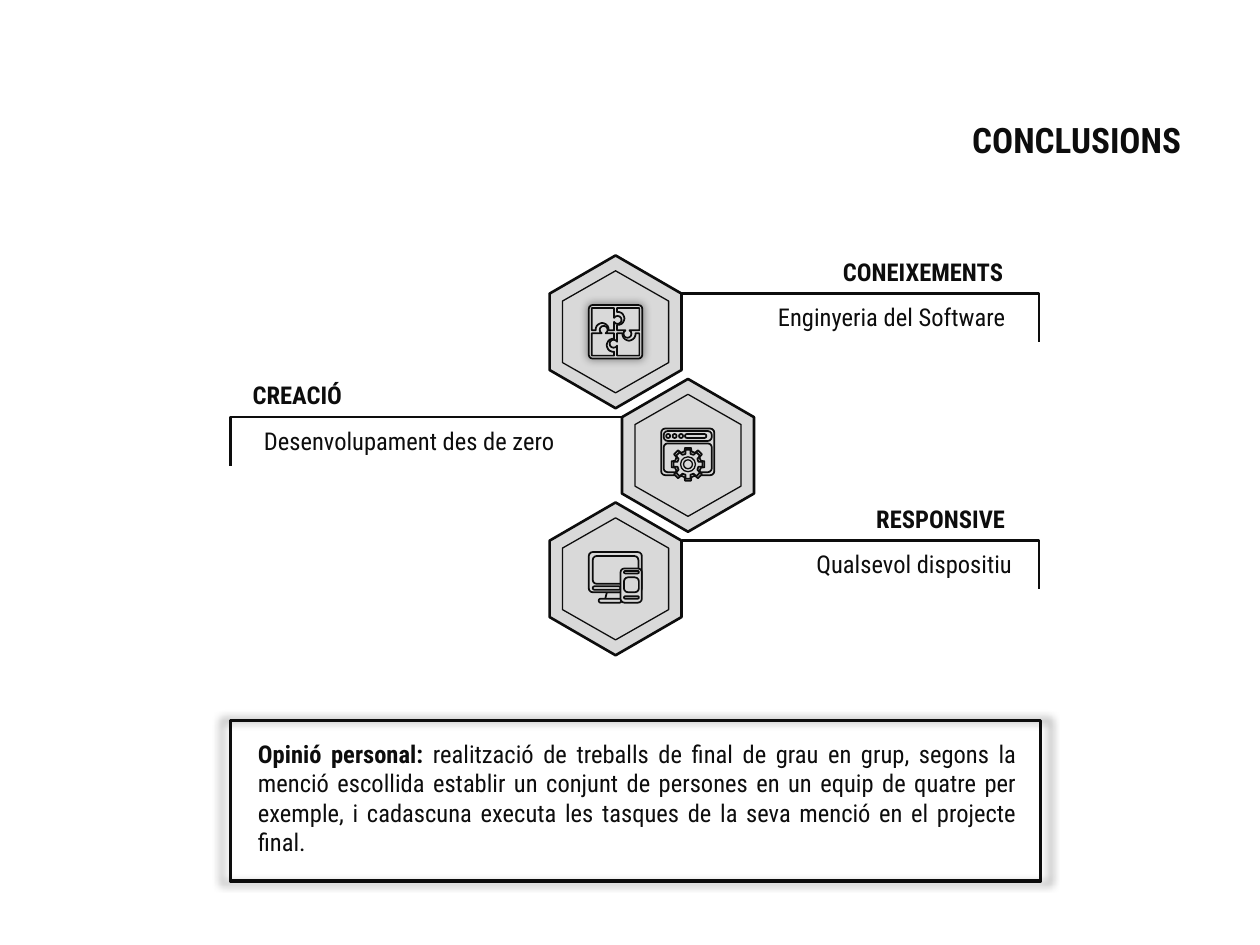
from math import cos, radians, sin

from lxml.etree import SubElement
from pptx import Presentation
from pptx.dml.color import RGBColor
from pptx.enum.shapes import MSO_CONNECTOR, MSO_SHAPE
from pptx.enum.text import MSO_ANCHOR, MSO_AUTO_SIZE, PP_ALIGN
from pptx.oxml.ns import qn
from pptx.util import Cm, Pt


class Theme:
    font = "Roboto Condensed"
    ink = RGBColor(0x0D, 0x0D, 0x0D)
    gray = RGBColor(0xD9, 0xD9, 0xD9)
    title = Pt(20)
    text = Pt(14)
    thin = Pt(0.75)
    icon = Pt(1)
    medium = Pt(1.5)
    thick = Pt(2)


def add_outline(kind, x, y, size, width):
    if kind == "polygon":
        points = [(r * cos(radians(a)), r * sin(radians(a))) for r, a in size]
        points = [(100 * px, 100 * py) for px, py in points]
        fb = s.shapes.build_freeform(*points[0], scale=Cm(0.01))
        fb.add_line_segments(points[1:], close=True)
        sp = fb.convert_to_shape(Cm(x), Cm(y))
    else:
        sp = s.shapes.add_shape(kind, Cm(x), Cm(y), *[Cm(v) for v in size])
        if kind == MSO_SHAPE.ROUNDED_RECTANGLE:
            sp.adjustments[0] = min(0.5, 0.08 / min(size))
    sp.shadow.inherit = False
    sp.fill.solid()
    sp.fill.fore_color.rgb = Theme.gray
    sp.line.color.rgb = Theme.ink
    sp.line.width = width
    return sp


def set_text(sp, runs, size, align=PP_ALIGN.CENTER):
    tf = sp.text_frame
    tf.word_wrap = True
    tf.auto_size = MSO_AUTO_SIZE.NONE
    tf.vertical_anchor = MSO_ANCHOR.BOTTOM
    tf.margin_left = tf.margin_right = tf.margin_top = tf.margin_bottom = Cm(0.25)
    p = tf.paragraphs[0]
    p.alignment = align
    for text, bold in runs:
        r = p.add_run()
        r.text = text
        r.font.bold = bold
    for font in [p.font, *[r.font for r in p.runs]]:
        font.name = Theme.font
        font.size = size
        font.color.rgb = Theme.ink


prs = Presentation()
prs.slide_width, prs.slide_height = Cm(25.4), Cm(19.05)
s = prs.slides.add_slide(prs.slide_layouts[5])

title = s.shapes.title
title.left, title.top, title.width, title.height = Cm(18.71), Cm(2.32), Cm(5.99), Cm(1.17)
set_text(title, [("CONCLUSIONS", True)], Theme.title)

first_y, row_gap = 6.69, 2.49
left_x, right_x = 12.41, 13.87
hexagon_radius, inner_ratio = 1.54, 0.8
hexagon_angles = range(30, 390, 60)
bracket_drop = 0.98
steps = [
    ("CONEIXEMENTS", 4.52, "Enginyeria del Software", 5.79, left_x, 1),
    ("CREACIÓ", 2.75, "Desenvolupament des de zero", 7.26, right_x, -1),
    ("RESPONSIVE", 3.81, "Qualsevol dispositiu", 4.88, left_x, 1),
]
for row, (heading, heading_width, detail, detail_width, x, side) in enumerate(steps):
    y = first_y + row * row_gap
    for ratio, width in ((1, Theme.medium), (inner_ratio, Theme.thin)):
        add_outline("polygon", x, y, [(hexagon_radius * ratio, a) for a in hexagon_angles], width)

    bar_x = x + side * hexagon_radius * cos(radians(30))
    bar_y = y - hexagon_radius / 2
    edge_x = 20.95 if side > 0 else 4.65
    c = s.shapes.add_connector(
        MSO_CONNECTOR.ELBOW, Cm(bar_x), Cm(bar_y), Cm(edge_x), Cm(bar_y + bracket_drop))
    c.line.color.rgb = Theme.ink
    c.line.width = Theme.medium
    spPr = c._element.spPr
    SubElement(spPr, qn("a:effectLst"))
    SubElement(spPr.find(".//" + qn("a:avLst")), qn("a:gd"), name="adj1", fmla="val 100000")

    for text, bold, width, rise in ((heading, True, heading_width, 0.97), (detail, False, detail_width, 0.05)):
        left = 20.87 - width if side > 0 else 4.62
        sp = s.shapes.add_textbox(Cm(left), Cm(bar_y - rise), Cm(width), Cm(1.07))
        set_text(sp, [(text, bold)], Theme.text)

icon_size = 1.08
puzzle_y, window_y, devices_y = [first_y + row * row_gap for row in range(3)]

puzzle_frame = add_outline(
    MSO_SHAPE.ROUNDED_RECTANGLE, left_x - icon_size / 2, puzzle_y - icon_size / 2,
    (icon_size, icon_size), Theme.icon)

half, gap = 0.48, 0.03
tab_x, tab_y, tab_radius = 0.04, -0.24, 0.08
notch_x, notch_y, notch_radius = -0.27, -0.05, 0.13
tab = [(tab_x + tab_radius * cos(radians(a)), tab_y + tab_radius * sin(radians(a)))
       for a in range(-150, 151, 30)]
notch = [(notch_x + notch_radius * cos(radians(a)), notch_y + notch_radius * sin(radians(a)))
         for a in range(10, -191, -20)]
piece = [(-half, -half), (-gap, -half), *tab, (-gap, -gap), *notch, (-half, -gap)]
for turn in range(4):
    fb = None
    for px, py in piece:
        for quarter in range(turn):
            px, py = -py, px
        if fb is None:
            fb = s.shapes.build_freeform(100 * px, 100 * py, scale=Cm(0.01))
        else:
            fb.add_line_segments([(100 * px, 100 * py)], close=False)
    fb.add_line_segments([], close=True)
    sp = fb.convert_to_shape(Cm(left_x), Cm(puzzle_y))
    sp.shadow.inherit = False
    sp.fill.solid()
    sp.fill.fore_color.rgb = Theme.gray
    sp.line.color.rgb = Theme.ink
    sp.line.width = Theme.icon

box, dot, trapezoid = MSO_SHAPE.ROUNDED_RECTANGLE, MSO_SHAPE.OVAL, MSO_SHAPE.TRAPEZOID
window = {
    "body": (box, 0, 0, 1.07, 0.94),
    "title bar": (box, 0.05, 0.05, 0.97, 0.2),
    "pane": (box, 0.05, 0.3, 0.97, 0.58),
    "address": (box, 0.48, 0.11, 0.43, 0.08),
    **{f"button {i}": (dot, 0.1 + 0.13 * i, 0.11, 0.08, 0.08) for i in range(3)},
}
devices = {
    "stand": (trapezoid, 0.33, 0.81, 0.38, 0.14),
    "base": (box, 0.2, 0.94, 0.46, 0.08),
    "monitor": (box, 0, 0, 1.07, 0.81),
    "screen": (box, 0.08, 0.08, 0.92, 0.56),
    "chin": (box, 0.08, 0.69, 0.56, 0.07),
    "phone": (box, 0.64, 0.33, 0.43, 0.69),
    "phone header": (box, 0.71, 0.38, 0.3, 0.05),
    "phone display": (box, 0.71, 0.51, 0.3, 0.3),
    "phone footer": (box, 0.71, 0.89, 0.3, 0.05),
}
for parts, x, y in ((window, right_x, window_y), (devices, left_x, devices_y)):
    for kind, dx, dy, width, height in parts.values():
        add_outline(kind, x - icon_size / 2 + dx, y - icon_size / 2 + dy, (width, height), Theme.icon)

gear_y = window_y + 0.18
for tip, root in ((0.34, 0.27), (0.29, 0.22)):
    teeth = [(r, tooth + a) for tooth in range(0, 360, 45)
             for r, a in ((root, -14), (tip, -10), (tip, 10), (root, 14))]
    add_outline("polygon", right_x, gear_y, teeth, Theme.icon)
for radius in (0.15, 0.09):
    add_outline(dot, right_x - radius, gear_y - radius, (2 * radius, 2 * radius), Theme.thin)

opinion_frame = add_outline(MSO_SHAPE.RECTANGLE, 4.65, 14.53, (16.33, 3.23), Theme.thick)
opinion_frame.fill.background()

for sp in (puzzle_frame, opinion_frame):
    effects = sp._element.spPr.find(qn("a:effectLst"))
    shadow = SubElement(effects, qn("a:outerShdw"), blurRad=str(Pt(5)), sx="102000", sy="102000",
                        algn="ctr", rotWithShape="0")
    color = SubElement(shadow, qn("a:srgbClr"), val="000000")
    SubElement(color, qn("a:alpha"), val="40000")

opinion = s.shapes.add_textbox(Cm(4.95), Cm(14.73), Cm(15.8), Cm(2.79))
set_text(opinion, [
    ("Opinió personal:", True),
    (" realització de treballs de final de grau en grup, segons la menció escollida establir un conjunt "
     "de persones en un equip de quatre per exemple, i cadascuna executa les tasques de la seva menció "
     "en el projecte final.", False),
], Theme.text, PP_ALIGN.JUSTIFY)

prs.save("out.pptx")
